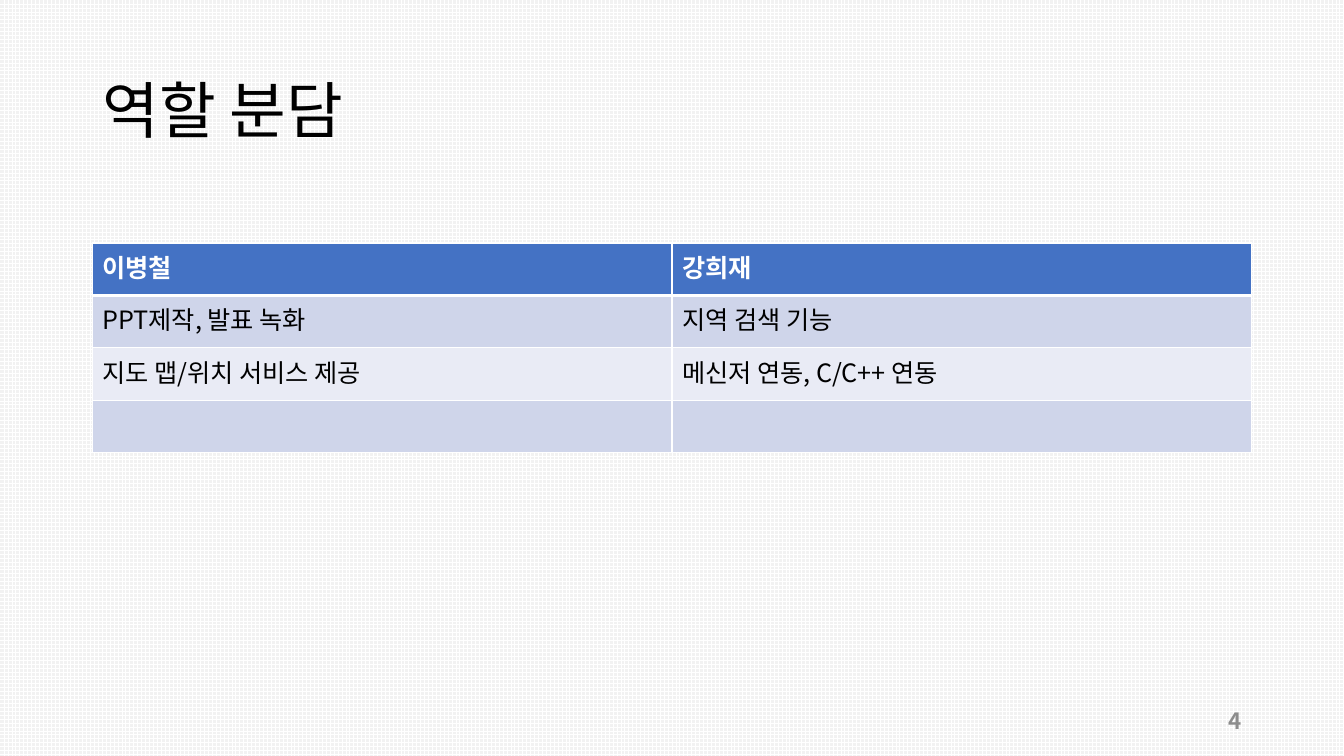
from dataclasses import dataclass

from lxml.etree import SubElement
from pptx import Presentation
from pptx.dml.color import RGBColor as Rgb
from pptx.enum.dml import MSO_PATTERN as Pattern
from pptx.enum.text import MSO_ANCHOR as Anchor, MSO_AUTO_SIZE as AutoSize, PP_ALIGN as Align
from pptx.oxml.ns import qn
from pptx.slide import Slide
from pptx.table import _Cell as Cell
from pptx.text.text import TextFrame, _Paragraph as Paragraph
from pptx.util import Pt

FONT = "Noto Sans CJK KR"
COLORS = {
    "white": "FFFFFF",
    "paper": "F2F2F2",
    "black": "000000",
    "header": "4472C4",
    "odd": "CFD5EA",
    "even": "E9EBF5",
    "number": "8C8C8C",
}
LEFT, WIDTH = 66, 828
TABLE_TOP, ROW_HEIGHT = 173.5, 37.5


@dataclass(frozen=True)
class TextStyle:
    size: float
    color: str
    bold: bool = False


@dataclass(frozen=True)
class RoleRow:
    texts: tuple[str, str]
    fill: str
    style: TextStyle
    bottom_line: float = 1


TITLE = TextStyle(44, "black")
HEADING = TextStyle(18, "white", True)
BODY = TextStyle(18, "black")
NUMBER = TextStyle(16, "number", True)
ROLES = [
    RoleRow(("이병철", "강희재"), "header", HEADING, 3),
    RoleRow(("PPT제작, 발표 녹화", "지역 검색 기능"), "odd", BODY),
    RoleRow(("지도 맵/위치 서비스 제공", "메신저 연동, C/C++ 연동"), "even", BODY),
    RoleRow(("", ""), "odd", BODY),
]


def color(name: str) -> Rgb:
    """Return the named colour."""
    return Rgb.from_string(COLORS[name])


def add_span(para: Paragraph, text: str, style: TextStyle) -> None:
    """Add a run whose Latin and Korean letters share one font."""
    span = para.add_run()
    span.text = text
    span.font.name = FONT
    span.font.size = Pt(style.size)
    span.font.bold = style.bold
    span.font.color.rgb = color(style.color)
    SubElement(span.font._element, qn("a:ea"), typeface=FONT)


def prepare_frame(frame: TextFrame, align: Align) -> Paragraph:
    """Centre a frame vertically and return its aligned paragraph."""
    frame.word_wrap = True
    frame.auto_size = AutoSize.NONE
    frame.vertical_anchor = Anchor.MIDDLE
    para = frame.paragraphs[0]
    para.alignment = align
    return para


def add_border(cell: Cell, side: str, width: float) -> None:
    """Add a white line on one side of a cell."""
    line = SubElement(cell._tc.get_or_add_tcPr(), qn(f"a:ln{side}"), w=str(Pt(width)))
    fill = SubElement(line, qn("a:solidFill"))
    SubElement(fill, qn("a:srgbClr"), val=COLORS["white"])


def add_title(page: Slide, text: str) -> None:
    """Place and fill the title placeholder."""
    box = page.shapes.title
    box.left, box.top, box.width, box.height = Pt(LEFT), Pt(28.75), Pt(WIDTH), Pt(104.4)
    para = prepare_frame(box.text_frame, Align.LEFT)
    para.line_spacing = 0.9
    add_span(para, text, TITLE)


def add_roles(page: Slide, rows: list[RoleRow]) -> None:
    """Draw the table of roles."""
    columns = len(rows[0].texts)
    table = page.shapes.add_table(
        len(rows), columns, Pt(LEFT), Pt(TABLE_TOP), Pt(WIDTH), Pt(ROW_HEIGHT * len(rows))
    ).table
    top_line = 1
    for row_index, row in enumerate(rows):
        for column_index, text in enumerate(row.texts):
            cell = table.cell(row_index, column_index)
            for side, width in zip("LRTB", (1, 1, top_line, row.bottom_line)):
                add_border(cell, side, width)
            cell.fill.solid()
            cell.fill.fore_color.rgb = color(row.fill)
            if text:
                add_span(cell.text_frame.paragraphs[0], text, row.style)
        top_line = row.bottom_line


def add_page_number(page: Slide, text: str) -> None:
    """Write the page number at the lower right."""
    box = page.shapes.add_textbox(Pt(678), Pt(500.5), Pt(216), Pt(28.75))
    add_span(prepare_frame(box.text_frame, Align.RIGHT), text, NUMBER)


def main() -> None:
    """Build and save the slide."""
    deck = Presentation()
    deck.slide_width, deck.slide_height = Pt(960), Pt(540)
    page = deck.slides.add_slide(deck.slide_layouts[5])
    backdrop = page.background.fill
    backdrop.patterned()
    backdrop.pattern = Pattern.LARGE_GRID
    backdrop.fore_color.rgb = color("white")
    backdrop.back_color.rgb = color("paper")
    add_title(page, "역할 분담")
    add_roles(page, ROLES)
    add_page_number(page, "4")
    deck.save("out.pptx")


if __name__ == "__main__":
    main()
